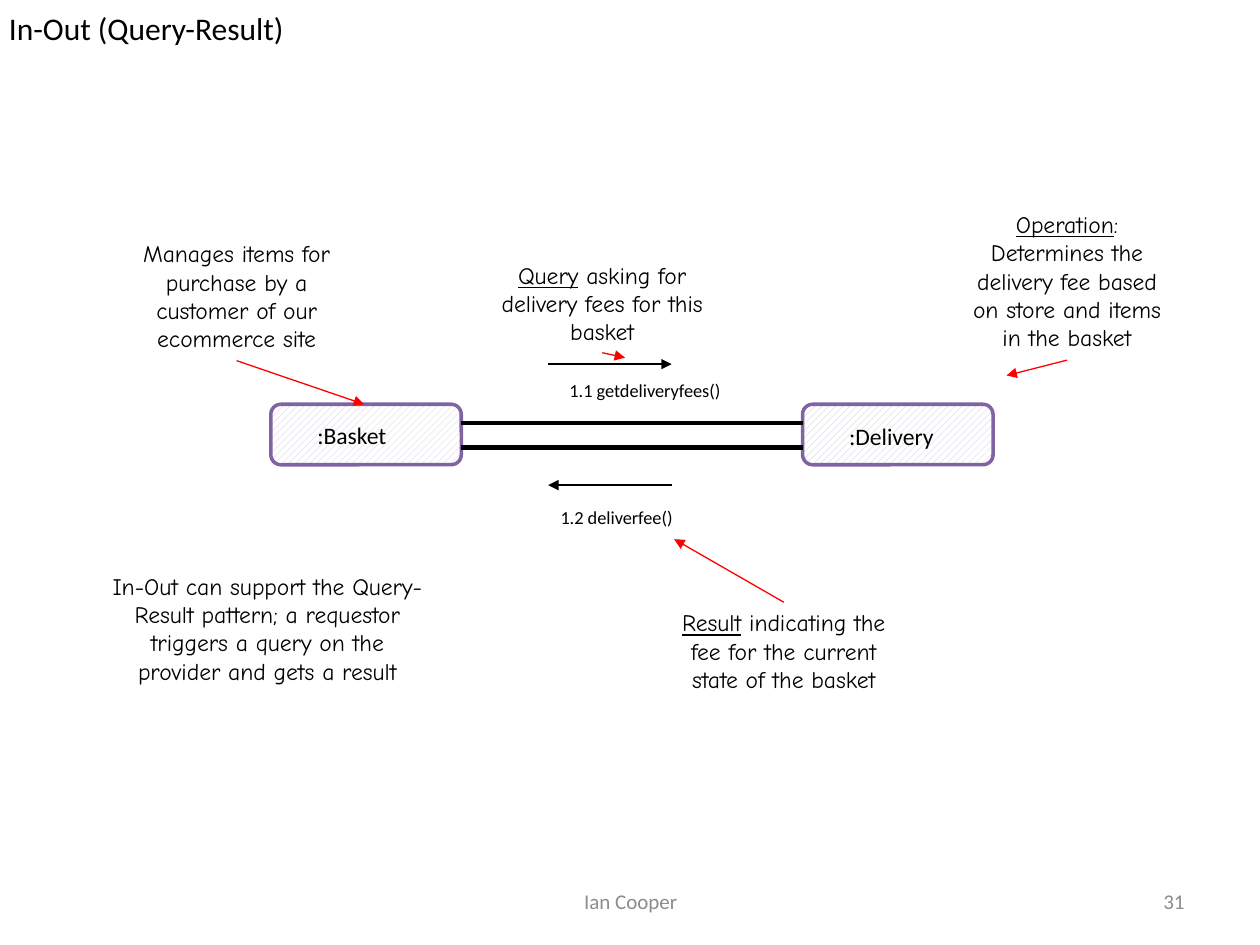
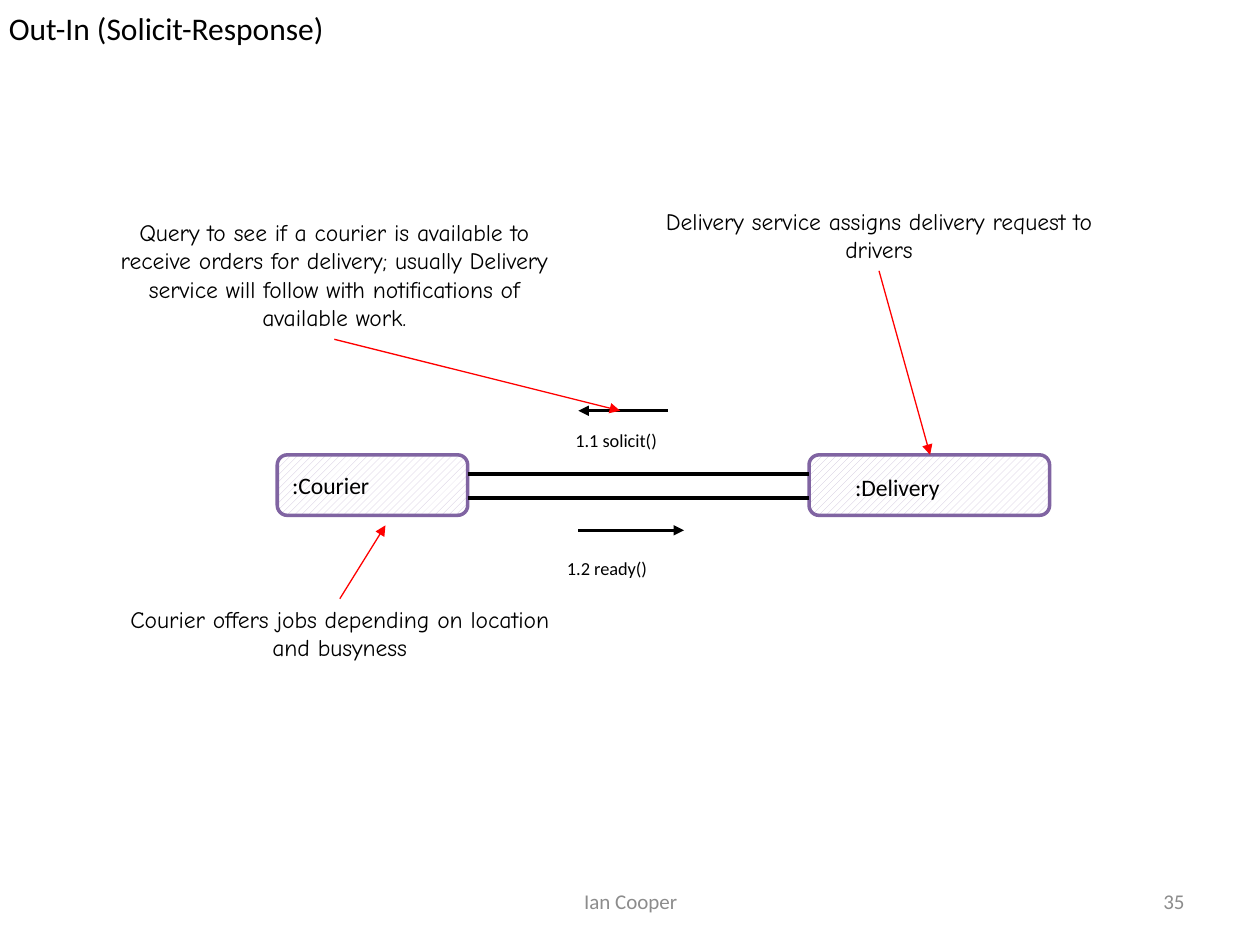
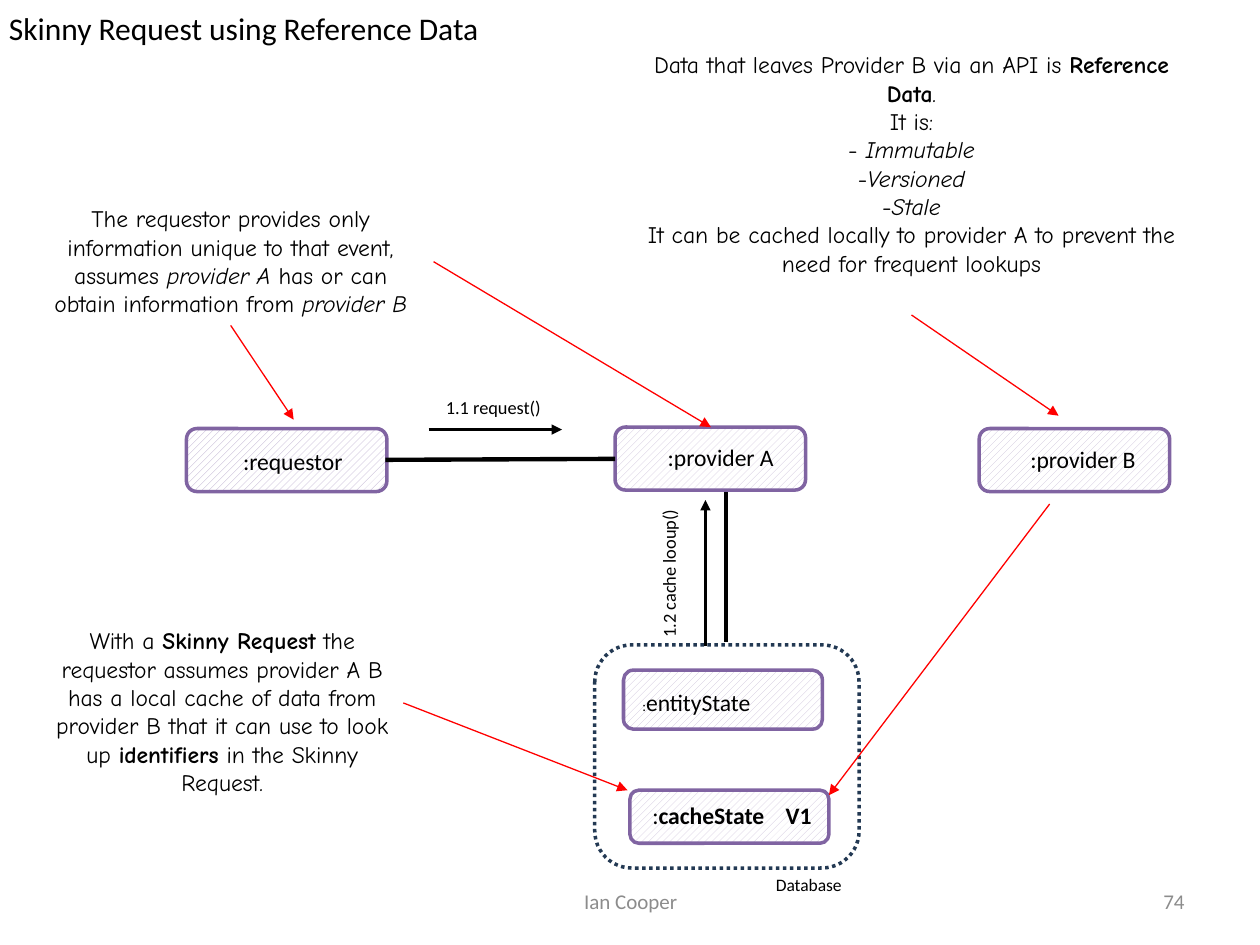
from lxml import etree
from pptx import Presentation
from pptx import util as u
from pptx.dml.color import RGBColor
from pptx.enum import dml, shapes, text
from pptx.oxml.ns import qn

COLORS = {
    "ink": "000000",
    "footer": "8C8C8C",
    "node": "8064A2",
    "hatch": "CCC1DA",
    "dark_hatch": "B3A2C7",
    "paper": "FFFFFF",
    "pointer": "FF0000",
    "database": "233953",
}
PLAIN_FONT, NOTE_FONT = "Calibri", "Comic Neue"
AUTHOR = "Ian Cooper"
BOLD, ITALIC, UNDERLINE = {"bold": True}, {"italic": True}, {"underline": True}
# Where a pointer leaves its note, as fractions of width and height
SIDES = {"bottom": (0.5, 1), "top": (0.5, 0), "right": (1, 0.5)}
LEFT, CENTER, RIGHT = text.PP_ALIGN.LEFT, text.PP_ALIGN.CENTER, text.PP_ALIGN.RIGHT


def rgb(name):
    return RGBColor.from_string(COLORS[name])


def cm(lengths):
    return [u.Cm(length) for length in lengths]


class Deck:
    """Holds the shared style and the current slide; lengths are in cm."""

    def __init__(self):
        self.prs = Presentation()
        self.prs.slide_width, self.prs.slide_height = cm((25.4, 19.05))
        self.slide = None

    def new_slide(self, title, number):
        self.slide = self.prs.slides.add_slide(self.prs.slide_layouts[6])
        self.text((0, 0, 25.4, 1.14), title, size=18, inset=0.18)
        for box, words, align in (((8.69, 17.65, 8.05, 1.02), AUTHOR, CENTER),
                                  ((18.21, 17.65, 5.92, 1.02), number, RIGHT)):
            footer = self.text(box, words, size=12, color="footer", align=align)
            footer.text_frame.auto_size = text.MSO_AUTO_SIZE.NONE
            footer.text_frame.vertical_anchor = text.MSO_ANCHOR.MIDDLE

    def text(self, box, *paragraphs, size=13.5, font=PLAIN_FONT, color="ink",
             align=LEFT, inset=None, tab=None):
        """A paragraph is a string or a list of strings and (string, style) pairs."""
        area = self.slide.shapes.add_textbox(*cm(box))
        frame = area.text_frame
        frame.word_wrap = True
        frame.auto_size = text.MSO_AUTO_SIZE.SHAPE_TO_FIT_TEXT
        if inset is not None:
            frame.margin_left = frame.margin_right = u.Cm(inset)
            frame.margin_top = frame.margin_bottom = u.Cm(inset)
        for index, pieces in enumerate(paragraphs):
            line = frame.add_paragraph() if index else frame.paragraphs[0]
            line.alignment = align
            if tab:
                stops = etree.SubElement(line._p.get_or_add_pPr(), qn("a:tabLst"))
                etree.SubElement(stops, qn("a:tab"), pos=str(u.Cm(tab)), algn="l")
            line.font.size, line.font.name = u.Pt(size), font
            line.font.color.rgb = rgb(color)
            for piece in [pieces] if isinstance(pieces, str) else pieces:
                words, style = (piece, {}) if isinstance(piece, str) else piece
                run = line.add_run()
                run.text = words
                for name, value in style.items():
                    setattr(run.font, name, value)
        return area

    def line(self, start, end, color="ink", width=2.5, arrow=False):
        link = self.slide.shapes.add_connector(
            shapes.MSO_CONNECTOR.STRAIGHT, *cm(start + end))
        link.line.color.rgb = rgb(color)
        link.line.width = u.Pt(width)
        if arrow:
            etree.SubElement(link.line._get_or_add_ln(), qn("a:tailEnd"), type="triangle")
        etree.SubElement(link._element.spPr, qn("a:effectLst"))

    def pointer(self, start, end):
        self.line(start, end, "pointer", 0.75, arrow=True)

    def rounded(self, box, color):
        outline = self.slide.shapes.add_shape(
            shapes.MSO_SHAPE.ROUNDED_RECTANGLE, *cm(box))
        outline.shadow.inherit = False
        outline.line.color.rgb = rgb(color)
        outline.line.width = u.Pt(2)
        return outline

    def node(self, box, label, label_box, hatch="hatch", tab=None):
        fill = self.rounded(box, "node").fill
        fill.patterned()
        fill.pattern = dml.MSO_PATTERN.WIDE_UPWARD_DIAGONAL
        fill.fore_color.rgb, fill.back_color.rgb = rgb(hatch), rgb("paper")
        self.text(label_box, label, tab=tab)

    def double_link(self, left_node, right_node):
        x, y, width, _ = left_node
        for drop in (0.38, 0.87):
            self.line((x + width, y + drop), (right_node[0], y + drop))

    def message(self, start, end, label, label_box):
        self.line(start, end, width=1.5, arrow=True)
        return self.text(label_box, label, size=10.5)

    def note(self, box, *paragraphs, **targets):
        """Targets map a side of the note to the point its pointer reaches."""
        self.text(box, *paragraphs, font=NOTE_FONT, align=CENTER)
        x, y, width, height = box
        for side, target in targets.items():
            across, down = SIDES[side]
            self.pointer((x + across * width, y + down * height), target)


def query_result(deck):
    deck.new_slide("In-Out (Query-Result)", "31")
    # Participants
    basket, delivery = (5.46, 8.15, 3.84, 1.22), (16.18, 8.15, 3.84, 1.22)
    deck.node(basket, ":Basket", (6.15, 8.36, 2.44, 0.84))
    deck.node(delivery, ":Delivery", (16.87, 8.38, 2.44, 0.84))
    deck.double_link(basket, delivery)
    # Messages
    deck.message((11.05, 7.34), (13.54, 7.34),
                 "1.1 getdeliveryfees()", (11.23, 7.52, 3.66, 0.71))
    deck.message((13.54, 9.78), (11.05, 9.78),
                 "1.2 deliverfee()", (11.05, 10.08, 3.3, 0.71))
    # Notes
    deck.note((1.9, 11.4, 6.98, 3.15),
              "In-Out can support the Query-Result pattern; a requestor "
              "triggers a query on the provider and gets a result")
    deck.note((2.46, 4.7, 4.62, 2.57),
              "Manages items for purchase by a customer of our ecommerce site",
              bottom=(7.34, 8.15))
    deck.note((9.83, 5.13, 4.62, 1.98),
              [("Query", UNDERLINE), " asking for delivery fees for this basket"],
              bottom=(12.6, 7.21))
    deck.note((19.2, 4.11, 4.62, 3.15),
              [("Operation", UNDERLINE),
               ": Determines the delivery fee based on store and items in the basket"],
              bottom=(20.29, 7.57))
    deck.note((13.49, 12.14, 4.62, 2.57),
              [("Result", UNDERLINE),
               " indicating the fee for the current state of the basket"],
              top=(13.59, 10.87))


def solicit_response(deck):
    deck.new_slide("Out-In (Solicit-Response)", "35")
    # Participants
    courier, delivery = (5.59, 9.17, 3.84, 1.22), (16.31, 9.17, 4.85, 1.22)
    deck.node(courier, ":Courier", (5.64, 9.37, 3.33, 0.84))
    deck.node(delivery, ":Delivery", (16.99, 9.4, 3.84, 0.84))
    deck.double_link(courier, delivery)
    # Messages
    deck.message((13.46, 8.28), (11.66, 8.28),
                 "1.1 solicit()", (11.35, 8.53, 2.97, 0.71))
    deck.message((11.66, 10.69), (13.79, 10.69),
                 "1.2 ready()", (11.18, 11.1, 4.09, 0.71))
    # Notes
    deck.note((12.88, 4.04, 9.68, 1.42),
              "Delivery service assigns delivery request to drivers",
              bottom=(18.75, 9.17))
    deck.note((2.01, 12.07, 9.68, 1.42),
              "Courier offers jobs depending on location and busyness",
              top=(7.77, 10.59))
    deck.note((1.9, 4.27, 9.68, 2.57),
              "Query to see if a courier is available to receive orders for "
              "delivery; usually Delivery service will follow with "
              "notifications of available work.",
              bottom=(12.5, 8.28))


def skinny_request(deck):
    deck.new_slide("Skinny Request using Reference Data", "74")
    # Participants
    deck.node((3.76, 8.64, 4.04, 1.27), ":requestor",
              (4.65, 8.89, 2.77, 0.84), hatch="dark_hatch")
    deck.node((12.4, 8.61, 3.84, 1.27), ":provider A", (13.21, 8.81, 2.77, 0.84))
    deck.node((19.74, 8.64, 3.84, 1.27), ":provider B", (20.52, 8.84, 2.67, 0.84))
    # Database and its state
    deck.node((12.7, 15.93, 4.01, 1.07), [":", ("cacheState\tV1", BOLD)],
              (12.9, 16.03, 3.76, 0.84), tab=2.69)
    deck.node((12.57, 13.51, 4.01, 1.19),
              [(":", {"size": u.Pt(8)}), "entityState"], (12.7, 13.74, 3.25, 0.86))
    database = deck.rounded((11.99, 13, 5.33, 4.5), "database")
    database.fill.background()
    database.line.dash_style = dml.MSO_LINE.ROUND_DOT
    deck.text((15.39, 17.5, 1.91, 0.69), "Database", size=10)
    # Links and messages
    deck.line((7.77, 9.27), (12.4, 9.25))
    deck.line((14.63, 12.95), (14.63, 9.91))
    deck.message((8.64, 8.66), (11.33, 8.66),
                 "1.1 request()", (8.74, 7.87, 2.49, 0.71))
    lookup = deck.message((14.22, 13.03), (14.22, 10.08),
                          "1.2 cache looup()", (11.81, 11.07, 3.35, 0.71))
    lookup.rotation = 270
    # Notes
    deck.note((0.56, 3.99, 8.18, 2.57),
              ["The requestor provides only information unique to that event, assumes ",
               ("provider A", ITALIC), " has or can obtain information from ",
               ("provider B", ITALIC)],
              bottom=(5.92, 8.46), right=(14.33, 8.61))
    deck.note((12.62, 0.89, 11.51, 5.46),
              ["Data that leaves Provider B via an API is ",
               ("Reference Data", BOLD), "."],
              "It is:",
              ["- ", ("Immutable", ITALIC)],
              ["-", ("Versioned", ITALIC)],
              ["-", ("Stale", ITALIC)],
              "It can be cached locally to provider A to prevent the need "
              "for frequent lookups",
              bottom=(21.34, 8.38))
    deck.note((0.86, 12.5, 7.24, 3.71),
              ["With a ", ("Skinny Request", BOLD),
               " the requestor assumes provider A B has a local cache of data "
               "from provider B that it can use to look up ",
               ("identifiers", BOLD), " in the Skinny Request."])
    # Pointers to the cached state
    deck.pointer((8.13, 14.17), (12.65, 15.93))
    deck.pointer((21.16, 10.16), (16.71, 16.03))


def main():
    deck = Deck()
    for build in (query_result, solicit_response, skinny_request):
        build(deck)
    deck.prs.save("out.pptx")


if __name__ == "__main__":
    main()
